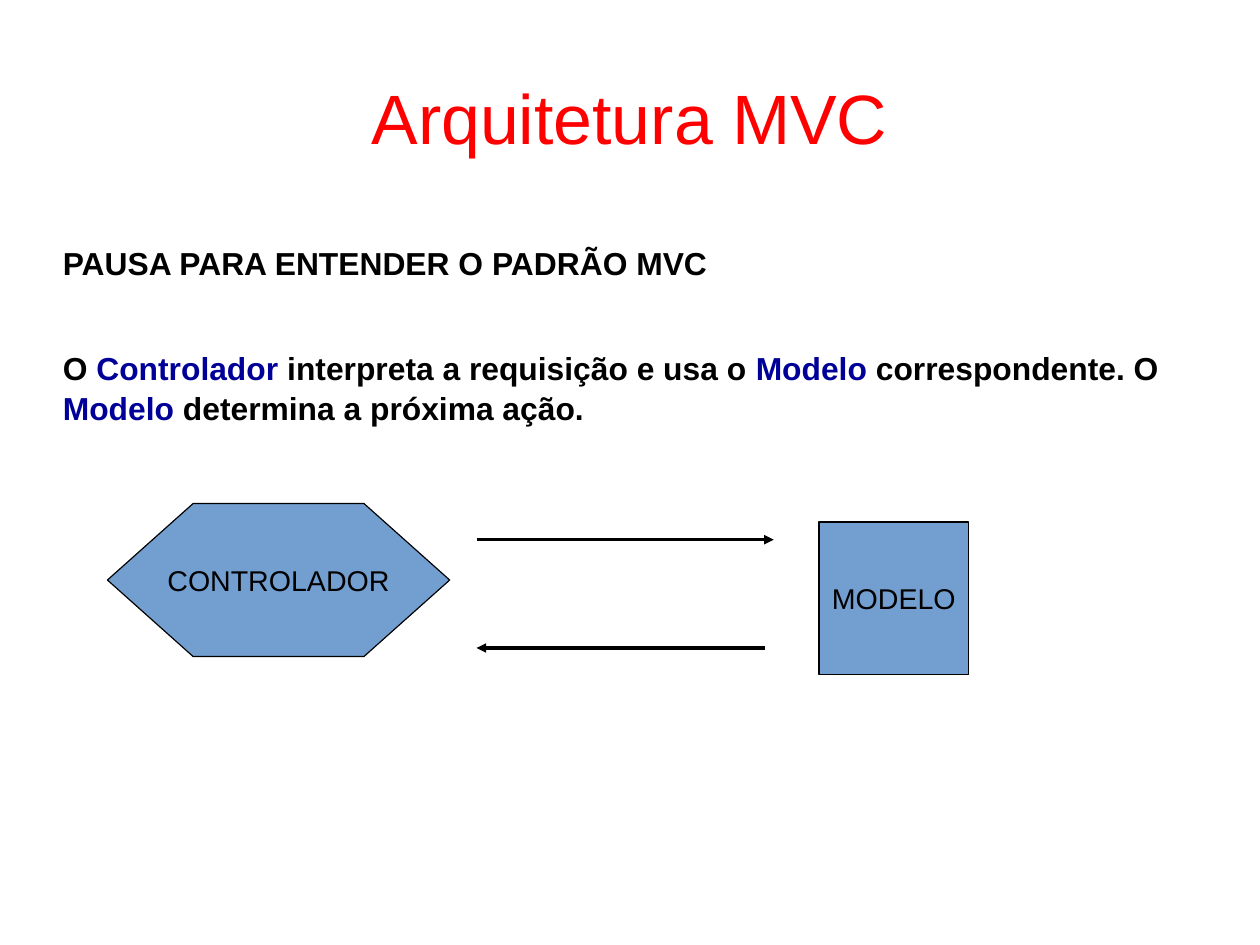
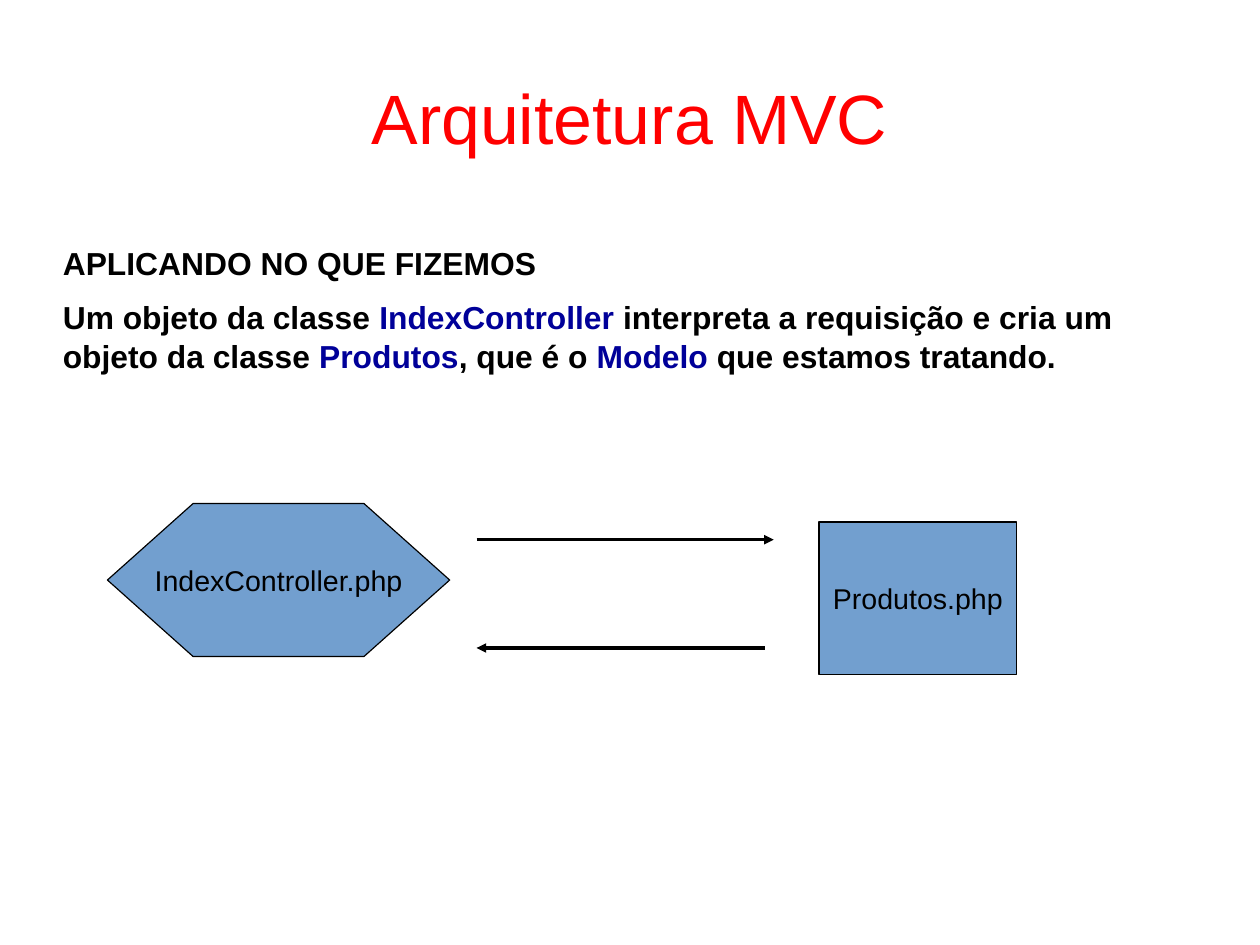
from lxml.etree import SubElement
from pptx import Presentation
from pptx.dml.color import RGBColor
from pptx.enum.shapes import MSO_CONNECTOR as Connector, MSO_SHAPE as Shape
from pptx.enum.text import MSO_ANCHOR as Anchor, MSO_AUTO_SIZE as AutoSize, PP_ALIGN as Align
from pptx.oxml.ns import qn
from pptx.util import Pt

RED = RGBColor(0xFF, 0x00, 0x00)
BLACK = RGBColor(0x00, 0x00, 0x00)
NAVY = RGBColor(0x00, 0x00, 0x99)
BLUE = RGBColor(0x72, 0x9F, 0xCF)
FONT = "Arial"
TITLE_LAYOUT = 5
LEFT, WIDTH = 39.6, 714.4
PARA_GAP = 8.8
WIDE_GAP = 41.5


def add_span(para, text, size=18, color=BLACK, bold=False):
    span = para.add_run()
    span.text = text
    span.font.name = FONT
    span.font.size = Pt(size)
    span.font.bold = bold
    span.font.color.rgb = color


class Deck:
    def __init__(self):
        self.deck = Presentation()
        self.deck.slide_width = Pt(793.7)
        self.deck.slide_height = Pt(595.3)
        self.page = None

    def prepare_frame(self, box, anchor):
        frame = box.text_frame
        frame.margin_left = frame.margin_right = frame.margin_top = frame.margin_bottom = 0
        frame.word_wrap = True
        frame.auto_size = AutoSize.NONE
        frame.vertical_anchor = anchor
        return frame

    def add_page(self, title):
        self.page = self.deck.slides.add_slide(self.deck.slide_layouts[TITLE_LAYOUT])
        box = self.page.shapes.title
        box.left, box.top, box.width, box.height = Pt(LEFT), Pt(23.8), Pt(WIDTH), Pt(99.4)
        para = self.prepare_frame(box, Anchor.MIDDLE).paragraphs[0]
        para.alignment = Align.CENTER
        add_span(para, title, size=44, color=RED)

    def add_body(self, heading, sentence, gap):
        box = self.page.shapes.add_textbox(Pt(LEFT), Pt(152.6), Pt(WIDTH), Pt(370))
        frame = self.prepare_frame(box, Anchor.TOP)
        first, second = frame.paragraphs[0], frame.add_paragraph()
        second.space_before = Pt(gap)
        for para in (first, second):
            para.line_spacing = 1.04
        add_span(first, heading, size=20, bold=True)
        for text, color in sentence:
            add_span(second, text, size=20, color=color, bold=True)

    def add_node(self, kind, text, left, top, width, height):
        node = self.page.shapes.add_shape(kind, Pt(left), Pt(top), Pt(width), Pt(height))
        node.shadow.inherit = False
        node.fill.solid()
        node.fill.fore_color.rgb = BLUE
        node.line.color.rgb = BLACK
        node.line.width = Pt(0)
        frame = node.text_frame
        frame.word_wrap = False
        frame.vertical_anchor = Anchor.MIDDLE
        para = frame.paragraphs[0]
        para.alignment = Align.CENTER
        add_span(para, text)
        return node

    def add_arrow(self, start, end, height):
        arrow = self.page.shapes.add_connector(
            Connector.STRAIGHT, Pt(start), Pt(height), Pt(end), Pt(height))
        arrow.line.color.rgb = BLACK
        arrow.line.width = Pt(0)
        SubElement(arrow.line._get_or_add_ln(), qn("a:tailEnd"), type="triangle")
        SubElement(arrow._element.spPr, qn("a:effectLst"))

    def add_exchange(self, controller, model, model_width):
        hexagon = self.add_node(Shape.HEXAGON, controller, 67.7, 317.2, 215.6, 96.4)
        hexagon.adjustments[0] = 0.56
        self.add_node(Shape.RECTANGLE, model, 515.9, 328.8, model_width, 96)
        self.add_arrow(300.2, 487.4, 340)
        self.add_arrow(481.7, 300.2, 408.2)


PAGES = [
    dict(
        heading="PAUSA PARA ENTENDER O PADRÃO MVC",
        sentence=[
            ("O ", BLACK),
            ("Controlador ", NAVY),
            ("interpreta a requisição e usa o ", BLACK),
            ("Modelo", NAVY),
            (" correspondente. O ", BLACK),
            ("Modelo", NAVY),
            (" determina a próxima ação.", BLACK),
        ],
        gap=WIDE_GAP,
        nodes=("CONTROLADOR", "MODELO", 94.3),
    ),
    dict(
        heading="APLICANDO NO QUE FIZEMOS",
        sentence=[
            ("Um objeto da classe ", BLACK),
            ("IndexController", NAVY),
            (" interpreta a requisição e cria um objeto da classe ", BLACK),
            ("Produtos", NAVY),
            (", que é o ", BLACK),
            ("Modelo", NAVY),
            (" que estamos tratando.", BLACK),
        ],
        gap=PARA_GAP,
        nodes=("IndexController.php", "Produtos.php", 124.6),
    ),
]


def main():
    show = Deck()
    for content in PAGES:
        show.add_page("Arquitetura MVC")
        show.add_body(content["heading"], content["sentence"], content["gap"])
        show.add_exchange(*content["nodes"])
    show.deck.save("out.pptx")


if __name__ == "__main__":
    main()
